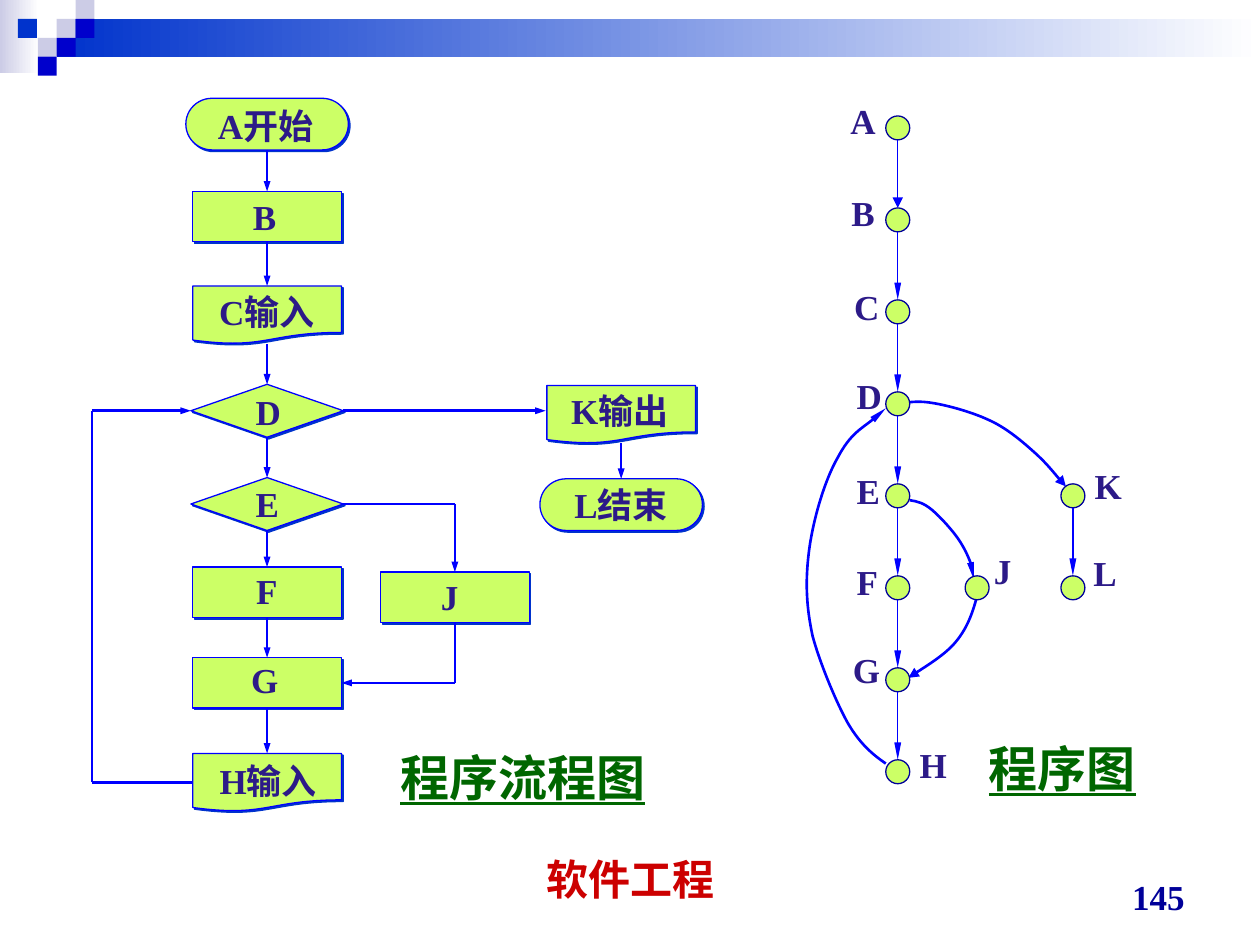
from dataclasses import dataclass

from lxml import etree
from pptx import Presentation
from pptx.dml.color import RGBColor
from pptx.enum.shapes import MSO_CONNECTOR, MSO_SHAPE
from pptx.enum.text import MSO_ANCHOR, MSO_AUTO_SIZE, PP_ALIGN
from pptx.oxml.ns import qn
from pptx.util import Inches, Pt

RECT, OVAL = MSO_SHAPE.RECTANGLE, MSO_SHAPE.OVAL
STRAIGHT = MSO_CONNECTOR.STRAIGHT
LEFT_ALIGN, CENTER, RIGHT_ALIGN = PP_ALIGN.LEFT, PP_ALIGN.CENTER, PP_ALIGN.RIGHT
TOP, LEFT, BOTTOM, RIGHT = range(4)

BLUE, LIME, INK, LILAC, ROYAL = "0000FF", "CCFF66", "2C1A88", "CCCCE6", "0033CC"
SERIF = "Times New Roman"
ROW = 0.73  # pitch of the program graph
NODE = 0.19  # diameter of a graph node
SLACK = 0.06  # spare width that keeps a label on one line
LABEL_WIDTH = dict(A=.4, B=.38, C=.4, D=.4, E=.38, F=.37, G=.41, H=.41, J=.34, K=.41, L=.38)

STEPS = {  # flowchart shape and its size
    "terminal": (MSO_SHAPE.FLOWCHART_TERMINATOR, 1.29, 0.41),
    "process": (RECT, 1.18, 0.40),
    "document": (MSO_SHAPE.FLOWCHART_DOCUMENT, 1.18, 0.46),
    "decision": (MSO_SHAPE.FLOWCHART_DECISION, 1.21, 0.42),
}
MAIN, BRANCH, OUTPUT = 1.39, 2.88, 4.20  # centres of the flowchart columns
FLOW = [  # label, step, column, top, label nudge from the centred place
    ("A开始", "terminal", MAIN, 0, 0.02, 0),
    ("B", "process", MAIN, 0.74, -0.02, -0.02),
    ("C输入", "document", MAIN, 1.49, 0.03, -0.01),
    ("D", "decision", MAIN, 2.27, 0.01, 0),
    ("E", "decision", MAIN, 3.01, 0, -0.01),
    ("F", "process", MAIN, 3.72, 0, -0.03),
    ("G", "process", MAIN, 4.44, -0.02, -0.04),
    ("H输入", "document", MAIN, 5.20, 0.04, 0),
    ("J", "process", BRANCH, 3.76, -0.04, -0.02),
    ("K输出", "document", OUTPUT, 2.28, 0.02, -0.02),
    ("L结束", "terminal", OUTPUT, 3.02, 0.03, -0.01),
]
GRAPH = [  # letter, left, row, label offset from the node
    ("A", 0.64, 0, -0.38, -0.18), ("B", 0.64, 1, -0.37, -0.18),
    ("C", 0.64, 2, -0.35, -0.16), ("D", 0.64, 3, -0.33, -0.19),
    ("E", 0.64, 4, -0.33, -0.16), ("F", 0.64, 5, -0.33, -0.17),
    ("G", 0.64, 6, -0.36, -0.20), ("H", 0.64, 7, 0.17, -0.18),
    ("J", 1.27, 5, 0.13, -0.26),
    ("K", 2.03, 4, 0.17, -0.20), ("L", 2.03, 5, 0.16, -0.24),
]
CURVES = [  # arrowhead length and width, then Bézier points
    ("med", "med", [(.77, 2.46), (.84, 2.45), (.91, 2.44), (1.02, 2.46), (1.14, 2.48),
                    (1.32, 2.53), (1.45, 2.59), (1.59, 2.65), (1.72, 2.76), (1.82, 2.85),
                    (1.92, 2.94), (2.03, 3.08), (2.07, 3.12)]),
    ("med", "med", [(1.36, 4.01), (1.33, 4.12), (1.29, 4.24), (1.2, 4.35), (1.12, 4.45),
                    (.88, 4.6), (.82, 4.64)]),
    ("lg", "sm", [(.83, 3.23), (.89, 3.24), (.94, 3.25), (1.01, 3.31), (1.07, 3.36),
                  (1.18, 3.48), (1.23, 3.56), (1.28, 3.64), (1.31, 3.72), (1.33, 3.77),
                  (1.35, 3.82), (1.34, 3.85), (1.34, 3.86)]),
    ("lg", "sm", [(.64, 5.32), (.54, 5.25), (.44, 5.17), (.34, 5), (.25, 4.84), (.12, 4.53),
                  (.06, 4.31), (.01, 4.08), (0, 3.88), (.03, 3.64), (.06, 3.4), (.15, 3.08),
                  (.26, 2.89), (.36, 2.7), (.58, 2.57), (.64, 2.5)]),
]


@dataclass
class Box:
    left: float
    top: float
    width: float
    height: float

    def at(self, x, y):
        return Inches(self.left + x), Inches(self.top + y)


def color(code):
    return RGBColor.from_string(code)


def add_shape(shapes, kind, place, width, height, fill=None, line=None):
    shape = shapes.add_shape(kind, *place, Inches(width), Inches(height))
    shape.shadow.inherit = False
    if fill:
        shape.fill.solid()
        shape.fill.fore_color.rgb = color(fill)
    if line:
        shape.line.color.rgb = color(line)
        shape.line.width = Pt(0.75)
    else:
        shape.line.fill.background()
    return shape


def add_gradient(shapes, box, start, end):
    bar = add_shape(shapes, RECT, box.at(0, 0), box.width, box.height)
    bar.fill.gradient()
    bar.fill.gradient_angle = 180
    for stop, code in zip(bar.fill.gradient_stops, (start, end)):
        stop.color.rgb = color(code)


def add_text(shapes, place, width, height, text, size, code, font=SERIF,
             align=LEFT_ALIGN, underline=None, wrap=False):
    box_width = width if wrap else width + SLACK
    box = shapes.add_textbox(*place, Inches(box_width), Inches(height))
    frame = box.text_frame
    frame.word_wrap = wrap
    if wrap:
        frame.vertical_anchor = MSO_ANCHOR.BOTTOM
    else:
        frame.auto_size = MSO_AUTO_SIZE.SHAPE_TO_FIT_TEXT
    para = frame.paragraphs[0]
    para.text, para.alignment = text, align
    para.font.name, para.font.size = font, Pt(size)
    para.font.bold, para.font.underline = True, underline
    para.font.color.rgb = color(code)


def style_line(shape, width, length=None, breadth=None):
    """Colour a line and, given a length and breadth, end it in an arrowhead."""
    shape.line.color.rgb = color(BLUE)
    shape.line.width = Pt(width)
    if length:
        line = shape.element.find(".//" + qn("a:ln"))
        etree.SubElement(line, qn("a:tailEnd"), type="triangle", w=breadth, len=length)


def add_line(shapes, start, end, width, length=None, breadth=None):
    line = shapes.add_connector(STRAIGHT, *start, *end)
    style_line(line, width, length, breadth)
    etree.SubElement(line.element.spPr, qn("a:effectLst"))
    return line


def add_curve(shapes, points, length, breadth):
    builder = shapes.build_freeform(*points[0])
    builder.add_line_segments(points[1:], close=False)
    curve = builder.convert_to_shape()
    curve.shadow.inherit = False
    curve.fill.background()
    style_line(curve, 1.5, length, breadth)
    outline = curve.element.find(".//" + qn("a:path"))
    segments = outline.findall(qn("a:lnTo"))
    for first in range(0, len(segments), 3):
        bezier = etree.SubElement(outline, qn("a:cubicBezTo"))
        for segment in segments[first:first + 3]:
            bezier.append(segment[0])
            outline.remove(segment)


def add_header(shapes, box):
    cell = box.height / 4
    add_gradient(shapes, Box(box.left, box.top, 0.31, 0.58), "FFFFFF", LILAC)
    add_gradient(shapes, Box(box.left + 3 * cell, box.top + cell, box.width - 3 * cell, 2 * cell),
                 "FFFFFF", ROYAL)
    for column, row, code in [(3, 1, LILAC), (4, 0, LILAC), (4, 1, "0000CC"), (2, 2, LILAC),
                              (0.95, 1, ROYAL), (3, 2, "0000CC"), (2, 3, "0000CC")]:
        add_shape(shapes, RECT, box.at(column * cell, row * cell), cell, cell, code)


def add_flowchart(shapes, box):
    steps = {}

    def link(start, end, arrow=True):
        """Join two ends, each a (letter, side) pair or an (x, y) point."""
        head = ("med", "sm") if arrow else ()
        line = add_line(shapes, box.at(0, 0), box.at(0, 0), 1.5, *head)
        if start[0] in steps:
            line.begin_connect(steps[start[0]], start[1])
        else:
            line.begin_x, line.begin_y = box.at(*start)
        if end[0] in steps:
            line.end_connect(steps[end[0]], end[1])
        else:
            line.end_x, line.end_y = box.at(*end)

    for label, step, center, y, dx, dy in FLOW:
        kind, width, height = STEPS[step]
        place = box.at(center - width / 2, y)
        shape = add_shape(shapes, kind, place, width, height, LIME, BLUE)
        effects = shape.element.spPr.find(qn("a:effectLst"))
        shadow = etree.SubElement(effects, qn("a:outerShdw"), dist=str(Pt(1.4)),
                                  dir="2700000", algn="ctr", rotWithShape="0")
        etree.SubElement(shadow, qn("a:srgbClr"), val=ROYAL)
        steps[label[0]] = shape
        text_width = LABEL_WIDTH[label[0]] + (0.62 if len(label) > 1 else 0)
        place = box.at(center - text_width / 2 + dx, y + dy)
        add_text(shapes, place, text_width, 0.44, label, 20, INK)

    for upper, lower in ["AB", "BC", "CD", "DE", "EF", "FG", "GH", "KL"]:
        link((upper, BOTTOM), (lower, TOP))
    link(("D", RIGHT), (3.60, 2.48))
    branch_top, branch_bottom = (BRANCH, 3.22), (BRANCH, 4.64)
    loop_top, loop_bottom = (0, 2.48), (0, 5.43)
    link(("E", RIGHT), branch_top, arrow=False)
    link(branch_top, ("J", TOP))
    link(("J", BOTTOM), branch_bottom, arrow=False)
    link(branch_bottom, ("G", RIGHT))
    link(("H", LEFT), loop_bottom, arrow=False)
    link(loop_bottom, loop_top, arrow=False)
    link(loop_top, ("D", LEFT))


def add_program_graph(shapes, box):
    for length, breadth, points in CURVES:
        add_curve(shapes, [box.at(*point) for point in points], length, breadth)
    for letter, x, row, dx, dy in GRAPH:
        y = 0.18 + row * ROW
        add_shape(shapes, OVAL, box.at(x, y), NODE, NODE, LIME, "000099")
        if letter in "ABCDEFGK":
            middle = x + NODE / 2
            head = ("med", "med") if letter == "A" else ("lg", "sm")
            add_line(shapes, box.at(middle, y + NODE), box.at(middle, y + ROW), 0.75, *head)
        add_text(shapes, box.at(x + dx, y + dy), LABEL_WIDTH[letter], 0.44, letter, 20, INK)


def add_captions(shapes, box):
    add_text(shapes, box.at(3.08, 5.88), 2.14, 0.57, "程序流程图", 28, "006600", underline=True)
    add_text(shapes, box.at(7.75, 5.81), 1.36, 0.57, "程序图", 28, "006600", underline=True)
    add_text(shapes, box.at(3.42, 6.72), 3.17, 0.5, "软件工程", 24, "CC0000", "Arial",
             CENTER, wrap=True)
    add_text(shapes, box.at(7.17, 6.83), 2.33, 0.5, "145", 20, "000099",
             align=RIGHT_ALIGN, wrap=True)


def main():
    deck = Presentation()
    deck.slide_width, deck.slide_height = Inches(10), Inches(7.5)
    page = deck.slides.add_slide(deck.slide_layouts[6])
    add_header(page.shapes, Box(0, 0, 10, 0.6))
    add_flowchart(page.shapes.add_group_shape().shapes, Box(0.73, 0.78, 4.85, 5.66))
    add_program_graph(page.shapes.add_group_shape().shapes, Box(6.39, 0.74, 2.61, 5.55))
    add_captions(page.shapes, Box(0, 0, 10, 7.5))
    deck.save("out.pptx")


if __name__ == "__main__":
    main()
